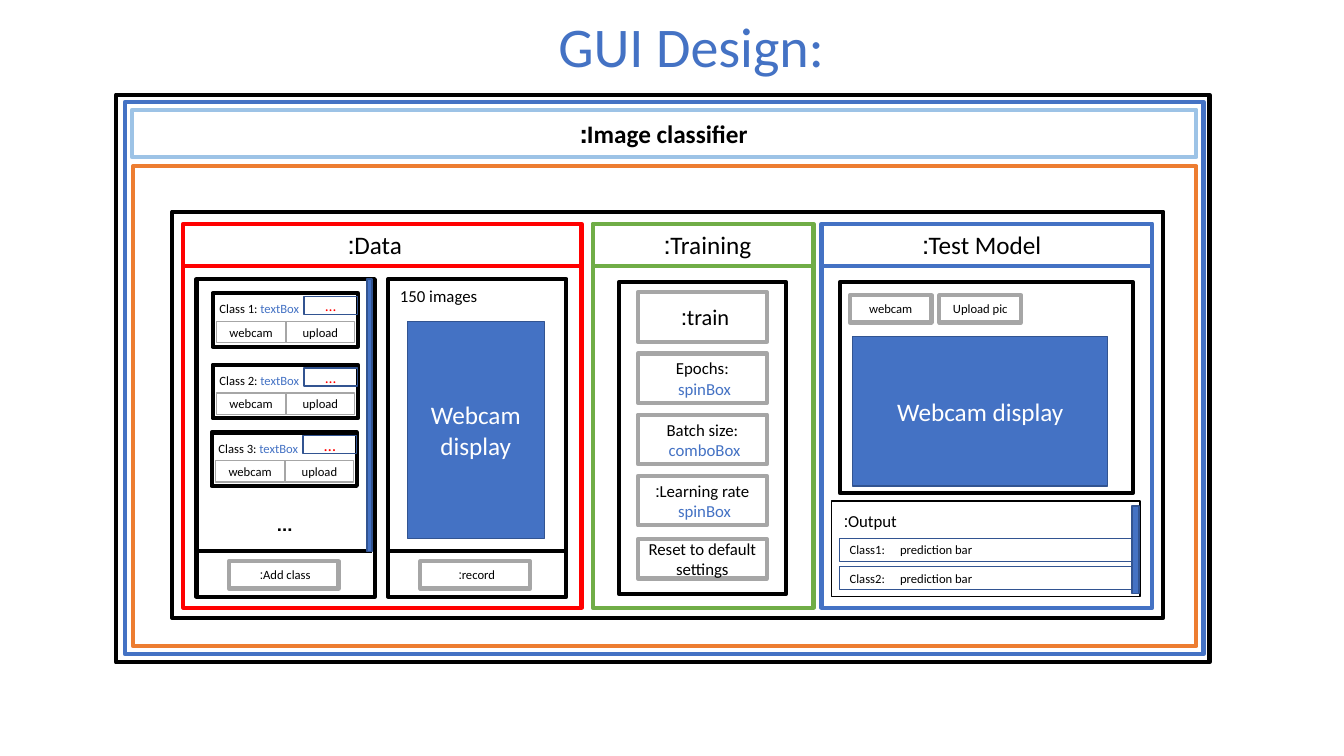
"""Builds the GUI design slide: nested window frames with data, training and test panels."""
from lxml import etree
from pptx import Presentation
from pptx.dml.color import RGBColor
from pptx.enum.shapes import MSO_CONNECTOR as CONNECTOR, MSO_SHAPE as SHAPE
from pptx.enum.text import MSO_ANCHOR as ANCHOR, PP_ALIGN as ALIGN
from pptx.oxml.ns import qn
from pptx.util import Pt

BLACK = RGBColor(0x00, 0x00, 0x00)
WHITE = RGBColor(0xFF, 0xFF, 0xFF)
BLUE = RGBColor(0x44, 0x72, 0xC4)
DARK_BLUE = RGBColor(0x32, 0x54, 0x91)
PALE_BLUE = RGBColor(0x9D, 0xC3, 0xE6)
ORANGE = RGBColor(0xED, 0x7D, 0x31)
RED = RGBColor(0xFF, 0x00, 0x00)
GREEN = RGBColor(0x70, 0xAD, 0x47)
GRAY = RGBColor(0xA6, 0xA6, 0xA6)
FONT = "Calibri"

WINDOW_FRAMES = [
    (82.8, 67.7, 781.2, 405.4, BLACK),
    (89.3, 72.7, 770.4, 394.6, BLUE),
    (95, 118.8, 759.6, 342.7, ORANGE),
    (123.1, 151.2, 707.8, 290.2, BLACK),
]
PANELS = [
    ("Data:", 131, 284.4, 184.3, RED),
    ("Training:", 423.4, 157.7, 421.9, GREEN),
    ("Test Model:", 586.8, 236.2, 617.8, BLUE),
]
COLUMNS = [("Add class: ", 140.4, 125.3), ("record: ", 277.2, 127.4)]
CLASS_CARDS = [
    ("Class 1: ", 151.9, 209.5, 11),
    ("Class 2: ", 151.9, 260.6, 11),
    ("Class 3: ", 151.2, 308.9, 12),
]
CARD_BUTTONS = ["webcam", "upload"]
TRAINING_FIELDS = [
    ([[("train: ", BLACK)]], 16),
    ([[("Epochs: ", BLACK), ("spinBox ", BLUE)]], 12),
    ([[("Batch size: ", BLACK), ("comboBox ", BLUE)]], 12),
    ([[("Learning rate:", BLACK)], [("spinBox ", BLUE)]], 12),
]
TEST_BUTTONS = ["webcam", "Upload pic"]
PREDICTIONS = ["Class1:\tprediction bar ", "Class2:\tprediction bar "]

deck = Presentation()
deck.slide_width, deck.slide_height = Pt(960), Pt(540)
page = deck.slides.add_slide(deck.slide_layouts[6])


def write(box, lines, size, align=ALIGN.CENTER, rtl=True, bold=False):
    """Fills a shape with paragraphs, each a list of (text, colour) spans."""
    frame = box.text_frame
    frame.word_wrap = True
    for number, spans in enumerate(lines):
        para = frame.add_paragraph() if number else frame.paragraphs[0]
        para.alignment = align
        if rtl:
            para._p.get_or_add_pPr().set("rtl", "1")
        for text, color in spans:
            span = para.add_run()
            span.text = text
            font = span.font
            font.name, font.size, font.bold = FONT, Pt(size), bold
            font.color.rgb = color


def add_box(left, top, width, height, line, weight=3, fill=WHITE):
    """Adds an outlined rectangle; a fill of None leaves it transparent."""
    box = page.shapes.add_shape(SHAPE.RECTANGLE, Pt(left), Pt(top), Pt(width), Pt(height))
    box.shadow.inherit = False
    if fill is None:
        box.fill.background()
    else:
        box.fill.solid()
        box.fill.fore_color.rgb = fill
    box.line.color.rgb = line
    box.line.width = Pt(weight)
    box.text_frame.vertical_anchor = ANCHOR.MIDDLE
    return box


def add_button(text, left, top, width, height, weight=3):
    """Adds a gray-edged button with a small caption."""
    write(add_box(left, top, width, height, GRAY, weight), [[(text, BLACK)]], 9)


def add_display(left, top, width, height):
    """Adds a blue webcam display."""
    display = add_box(left, top, width, height, DARK_BLUE, 1, BLUE)
    write(display, [[("Webcam display", WHITE)]], 18)


def add_label(spans, left, top, width, height, size, **style):
    """Adds a one-paragraph text box."""
    box = page.shapes.add_textbox(Pt(left), Pt(top), Pt(width), Pt(height))
    write(box, [spans], size, **style)
    return box


def add_rule(left, y, width, color):
    """Adds a horizontal divider."""
    rule = page.shapes.add_connector(CONNECTOR.STRAIGHT, Pt(left), Pt(y), Pt(left + width), Pt(y))
    rule.line.color.rgb = color
    rule.line.width = Pt(3)
    etree.SubElement(rule._element.spPr, qn("a:effectLst"))


for left, top, width, height, color in WINDOW_FRAMES:
    add_box(left, top, width, height, color)
title_bar = add_box(94.3, 78.5, 760.3, 33.8, PALE_BLUE)
write(title_bar, [[("Image classifier:", BLACK)]], 18, bold=True)

for name, left, width, label_left, color in PANELS:
    add_box(left, 159.8, width, 274.3, color)
    add_rule(left, 190.1, width, color)
    add_label([(name, BLACK)], label_left, 160.6, 167, 28.8, 18)

for caption, left, rule_width in COLUMNS:
    add_box(left, 199.4, 127.4, 226.8, BLACK)
    add_rule(left, 393.8, rule_width, BLACK)
    add_button(caption, left + 23, 401, 78.5, 19.4)
add_box(262.1, 199.4, 3.6, 194.4, DARK_BLUE, 1, BLUE)
add_label([("…", BLACK)], 176.4, 357.8, 54, 28.8, 18)

for name, left, top, dots_size in CLASS_CARDS:
    add_box(left, top, 103.7, 38.2, BLACK)
    for place, caption in enumerate(CARD_BUTTONS):
        add_button(caption, left + 2.9 + 49.5 * place, top + 20.2, 49, 15.1, 1)
    add_label([(name, BLACK), ("textBox", BLUE)], left - 2.2, top + 2.2, 74.9, 28.8, 9,
              align=ALIGN.LEFT, rtl=False)
    dots = add_box(left + 65.3, top + 2.2, 38.2, 13, DARK_BLUE, 1, None)
    write(dots, [[("…", RED)]], dots_size, rtl=False)

add_label([("150 images", BLACK)], 278.6, 200.2, 79.9, 21.6, 12, align=ALIGN.LEFT, rtl=False)
add_display(290.9, 229.7, 97.9, 154.8)

add_box(442.1, 201.6, 119.5, 222.5, BLACK, fill=None)
for row, (lines, size) in enumerate(TRAINING_FIELDS):
    write(add_box(455.6, 208.8 + 43.7 * row, 92.2, 35.3, GRAY), lines, size)
reset = add_box(455.6, 385.2, 92.2, 28.1, GRAY)
write(reset, [[("Reset to default settings", BLACK)]], 12)

add_box(599.8, 201.6, 209.5, 150.5, BLACK, fill=None)
for place, caption in enumerate(TEST_BUTTONS):
    add_button(caption, 607 + 64 * place, 211, 58.3, 19.4)
add_display(609.1, 240.5, 182.2, 106.6)

add_box(594, 357.8, 220.3, 68.4, BLACK, 1, None)
add_label([("Output:", BLACK)], 594, 361.4, 55.4, 21.6, 12)
for row, text in enumerate(PREDICTIONS):
    bar = add_box(599.8, 384.5 + 20.2 * row, 208.8, 16.6, DARK_BLUE, 1, None)
    write(bar, [[(text, BLACK)]], 9, align=ALIGN.LEFT, rtl=False)
add_box(808.6, 361.4, 5, 62.6, DARK_BLUE, 1, BLUE)

title = add_label([("GUI Design:", BLUE), (" ", BLACK)], 288, 5, 415.4, 55.4, 40, rtl=False)
title.text_frame.paragraphs[0].runs[1].font.size = Pt(18)

deck.save("out.pptx")
